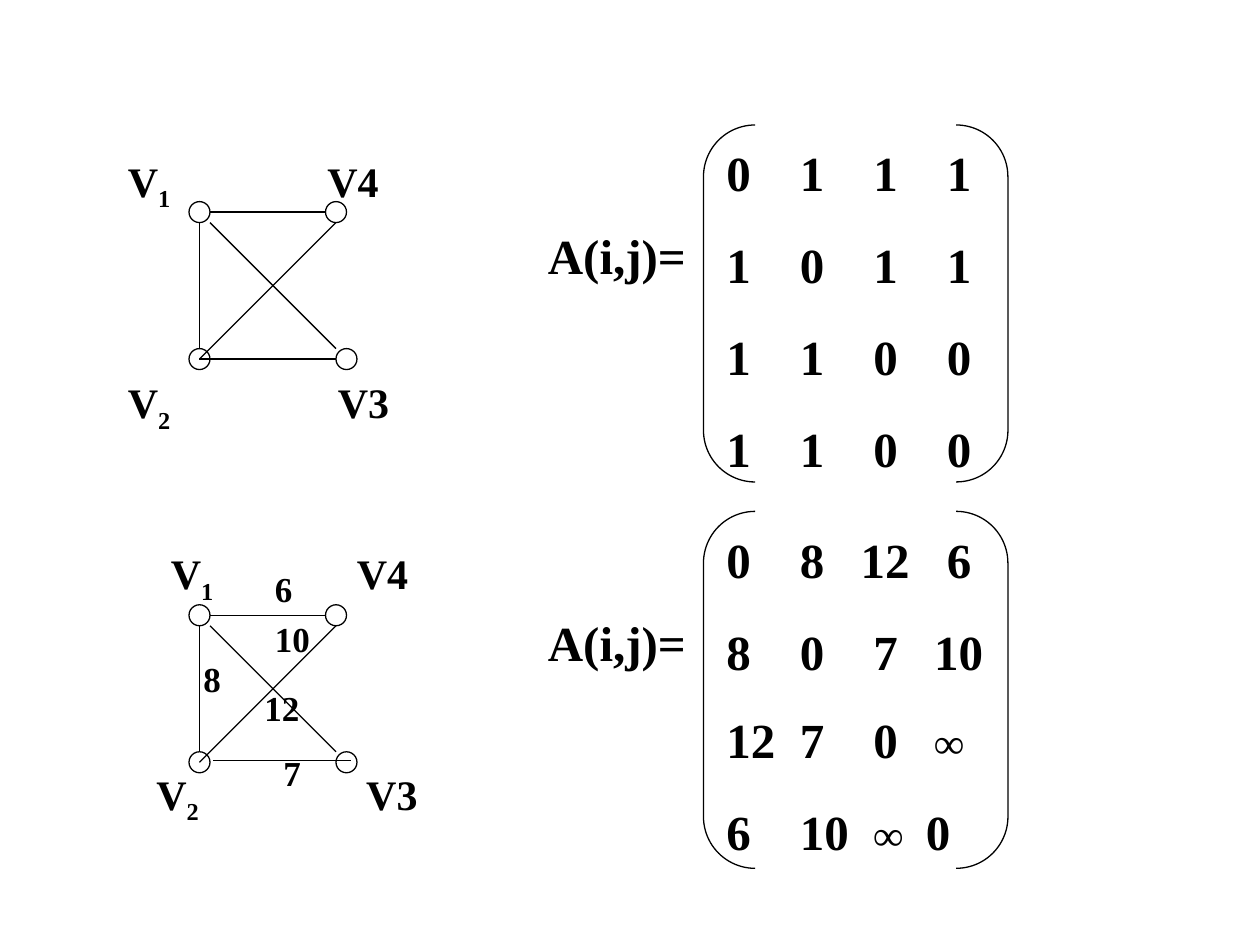
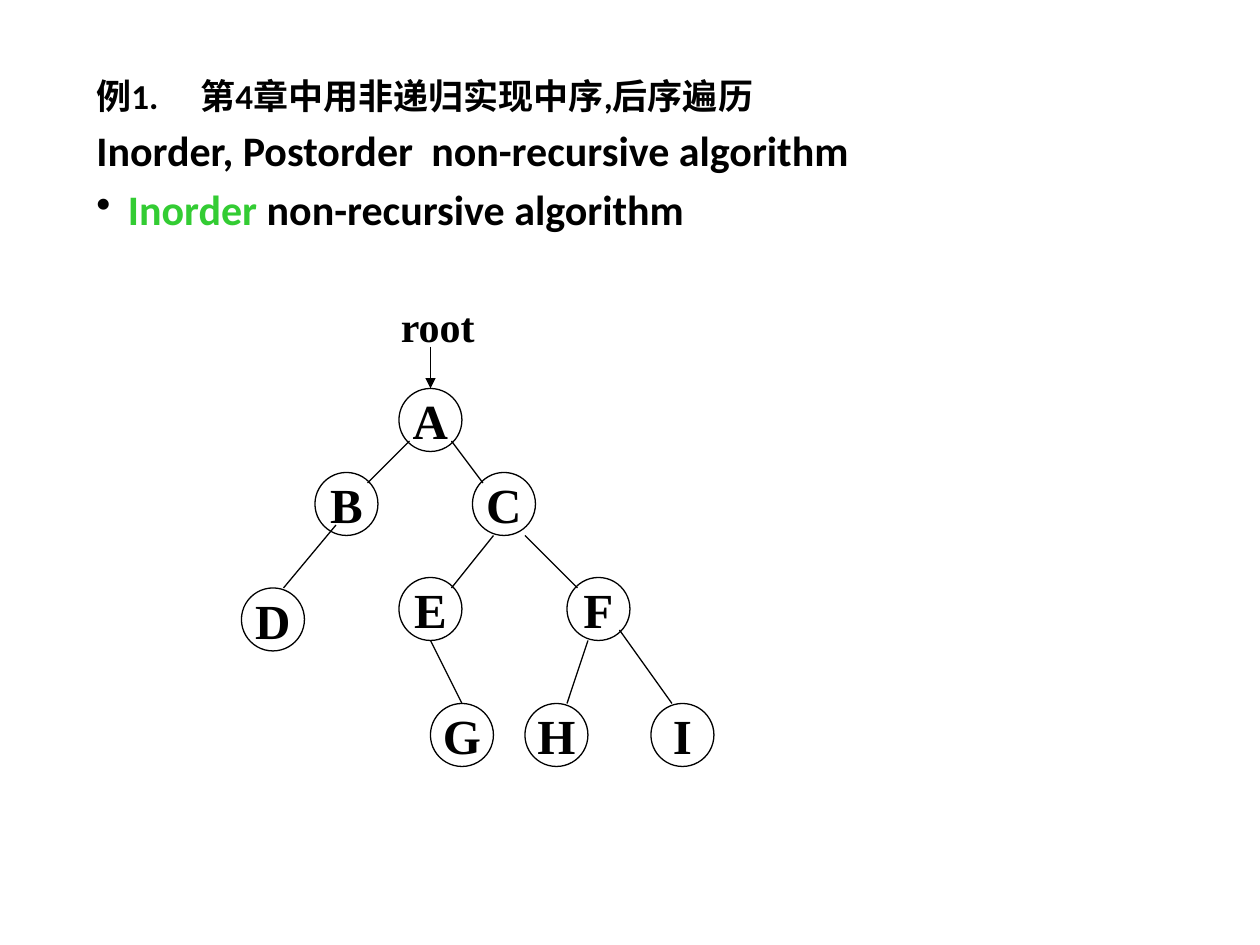
from lxml.etree import SubElement
from pptx import Presentation
from pptx.dml.color import RGBColor
from pptx.enum.shapes import MSO_CONNECTOR as Connector, MSO_SHAPE as Shape
from pptx.enum.text import MSO_ANCHOR as Anchor, MSO_AUTO_SIZE as AutoSize, PP_ALIGN as Align
from pptx.oxml.ns import qn
from pptx.util import Pt

PX = 7620
COLORS = {"ink": "000000", "accent": "33CC33"}
SERIF, SANS = "Times New Roman", "Calibri"


def add_run(paragraph, text, size, font=SERIF, color="ink", baseline=0):
    run = paragraph.add_run()
    run.text = text
    run.font.size = Pt(size)
    run.font.name = font
    run.font.bold = True
    run.font.color.rgb = RGBColor.from_string(COLORS[color])
    if baseline:
        run._r.get_or_add_rPr().set("baseline", str(baseline * 1000))


def add_tabs(paragraph, stops):
    tab_list = SubElement(paragraph._p.get_or_add_pPr(), qn("a:tabLst"))
    for stop in stops:
        SubElement(tab_list, qn("a:tab"), pos=str(stop * PX), algn="l")


deck = Presentation()
deck.slide_width, deck.slide_height = 1200 * PX, 900 * PX
blank = deck.slide_layouts[6]
graphs, traversal = [deck.slides.add_slide(blank) for _ in range(2)]

outlines, edges, labels = [], [], []

for top, base_edge in [(192, (190, 342, 320, 342)), (576, (203, 724, 334, 724))]:
    for x, dy in [(180, 0), (180, 140), (320, 140), (310, 0)]:
        outlines.append((graphs, Shape.OVAL, (x, top + dy, 20, 20), ""))
    for x1, dy1, x2, dy2 in [(200, 10, 310, 10), (190, 20, 190, 140),
                             (200, 20, 320, 140), (320, 20, 190, 150)]:
        edges.append((graphs, (x1, top + dy1, x2, top + dy2), False))
    edges.append((graphs, base_edge, False))

vertices = [
    ("V", "1", 70, 67, [(110, 142), (151, 516)]),
    ("V", "2", 100, 67, [(110, 353), (137, 726)]),
    ("V3", "", 110, 60, [(310, 353), (337, 726)]),
    ("V4", "", 150, 60, [(300, 142), (328, 516)]),
]
for name, index, width, height, places in vertices:
    for x, y in places:
        labels.append((graphs, (x, y, width, height), name, index, 24))

for weight, x, y, width in [("6", 250, 535, 66), ("8", 182, 620, 56), ("7", 258, 710, 95),
                            ("10", 250, 582, 85), ("12", 240, 648, 66)]:
    labels.append((graphs, (x, y, width, 53), weight, "", 20))

even = (70, 140, 210)
matrices = [
    (119, [("0111", even, 0), ("1011", even, 19), ("1100", even, 19), ("1100", even, 19)]),
    (487, [(("0", "8", "12", "6"), (70, 128, 210), 0),
           (("8", "0", "7", "10"), (70, 140, 198), 19),
           (("12", "7", "0", "∞"), (70, 140, 198), 17),
           (("6", "10", "∞", "0"), (70, 140, 190), 19)]),
]
for top, rows in matrices:
    outlines.append((graphs, Shape.DOUBLE_BRACKET, (670, top, 290, 340), ""))
    labels.append((graphs, (510, top + 90, 200, 68), "A(i,j)=", "", 28))
    entries = graphs.shapes.add_textbox(680 * PX, (top + 11) * PX, 300 * PX, 322 * PX).text_frame
    entries.word_wrap = True
    for i, (values, stops, gap) in enumerate(rows):
        row = entries.paragraphs[0] if i == 0 else entries.add_paragraph()
        row.space_before = Pt(gap)
        add_tabs(row, stops)
        for j, value in enumerate(values):
            if j:
                add_run(row, "\t", 28)
            add_run(row, value, 24 if value == "∞" else 28)

for letter, x, y in [("A", 380, 370), ("B", 300, 450), ("C", 450, 450),
                     ("D", 230, 560), ("E", 380, 550), ("F", 540, 550),
                     ("G", 410, 670), ("H", 500, 670), ("I", 620, 670)]:
    outlines.append((traversal, Shape.OVAL, (x, y, 60, 60), letter))
for branch in [(390, 420, 350, 460), (320, 500, 270, 560), (430, 420, 460, 460),
               (470, 510, 430, 560), (500, 510, 550, 560), (410, 610, 440, 670),
               (560, 610, 540, 670), (590, 600, 640, 670)]:
    edges.append((traversal, branch, False))
edges.append((traversal, (410, 330, 410, 370), True))
labels.append((traversal, (370, 280, 96, 60), "root", "", 24))

heading = traversal.shapes.add_textbox(80 * PX, 70 * PX, 1020 * PX, 770 * PX).text_frame
heading.word_wrap = True
heading_lines = [
    ([("例1.\t第4章中用非递归实现中序,后序遍历", "ink")], 20, 99, False),
    ([("Inorder, Postorder\tnon-recursive algorithm", "ink")], 24, 319, False),
    ([("Inorder ", "accent"), ("non-recursive algorithm", "ink")], 24, 30, True),
]
for i, (runs, size, stop, bulleted) in enumerate(heading_lines):
    line = heading.paragraphs[0] if i == 0 else heading.add_paragraph()
    line.line_spacing = 0.9
    line.space_before = Pt(7.5 if i else 0)
    if bulleted:
        properties = line._p.get_or_add_pPr()
        properties.set("marL", str(stop * PX))
        properties.set("indent", str(-stop * PX))
        bullet_color = SubElement(properties, qn("a:buClr"))
        SubElement(bullet_color, qn("a:srgbClr"), val=COLORS["ink"])
        SubElement(properties, qn("a:buChar"), char="•")
    else:
        add_tabs(line, [stop])
    for text, color in runs:
        add_run(line, text, size, SANS, color)

for slide, kind, rect, letter in outlines:
    outline = slide.shapes.add_shape(kind, *[n * PX for n in rect])
    outline.shadow.inherit = False
    outline.fill.background()
    outline.line.color.rgb = RGBColor.from_string(COLORS["ink"])
    outline.line.width = Pt(0.75)
    if kind == Shape.DOUBLE_BRACKET:
        outline.adjustments[0] = 0.17
    if letter:
        frame = outline.text_frame
        frame.word_wrap = False
        frame.vertical_anchor = Anchor.MIDDLE
        frame.paragraphs[0].alignment = Align.CENTER
        add_run(frame.paragraphs[0], letter, 28)

for slide, ends, arrow in edges:
    edge = slide.shapes.add_connector(Connector.STRAIGHT, *[n * PX for n in ends])
    edge.line.color.rgb = RGBColor.from_string(COLORS["ink"])
    edge.line.width = Pt(0.75)
    if arrow:
        SubElement(edge.line._get_or_add_ln(), qn("a:tailEnd"), type="triangle")
    SubElement(edge._element.spPr, qn("a:effectLst"))

for slide, rect, text, subscript, size in labels:
    frame = slide.shapes.add_textbox(*[n * PX for n in rect]).text_frame
    frame.word_wrap = text != "root"
    frame.auto_size = AutoSize.SHAPE_TO_FIT_TEXT
    add_run(frame.paragraphs[0], text, size)
    if subscript:
        add_run(frame.paragraphs[0], subscript, size, baseline=-25)

deck.save("out.pptx")
